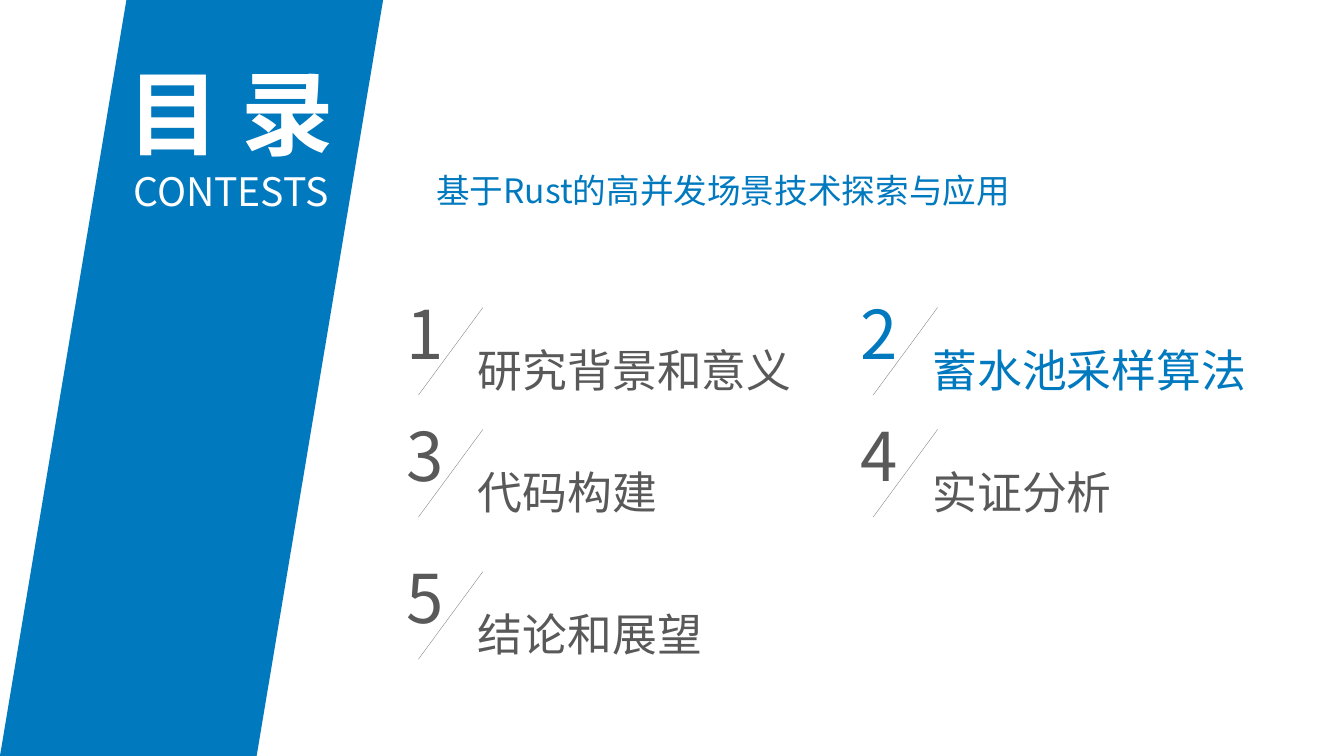
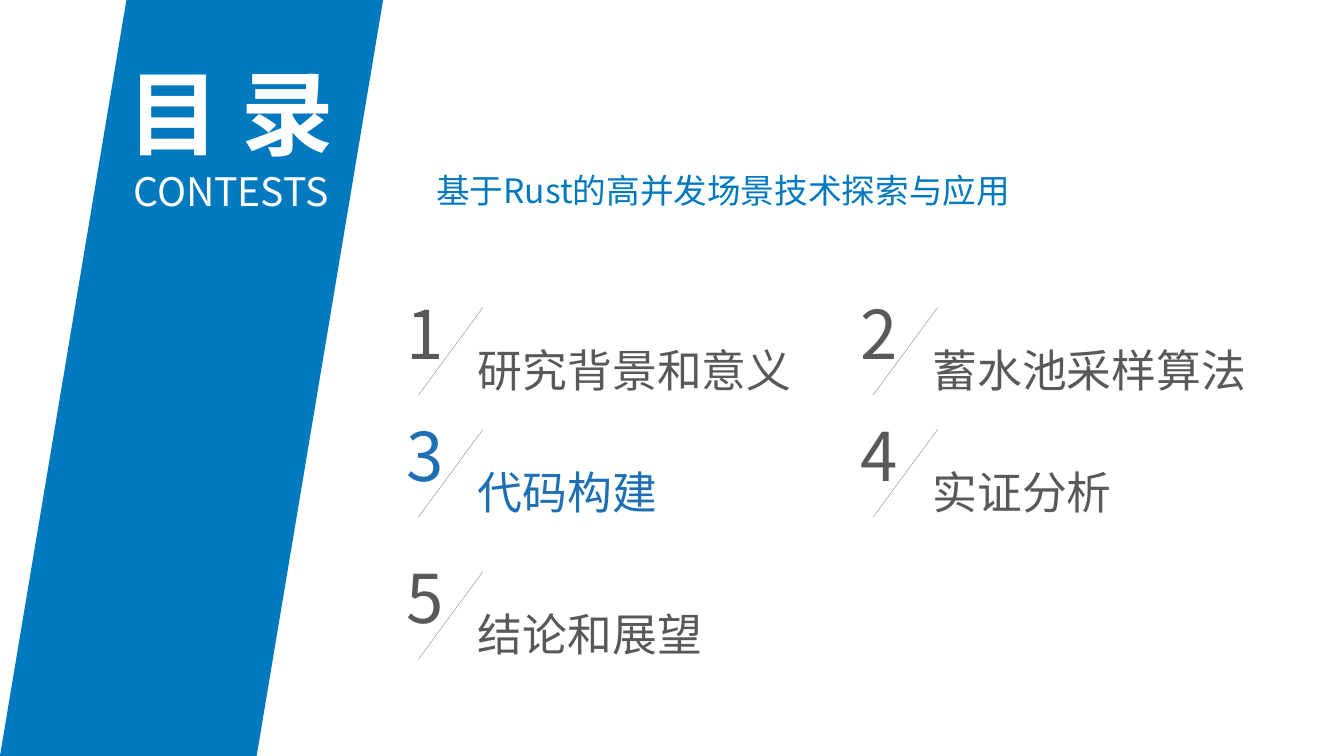
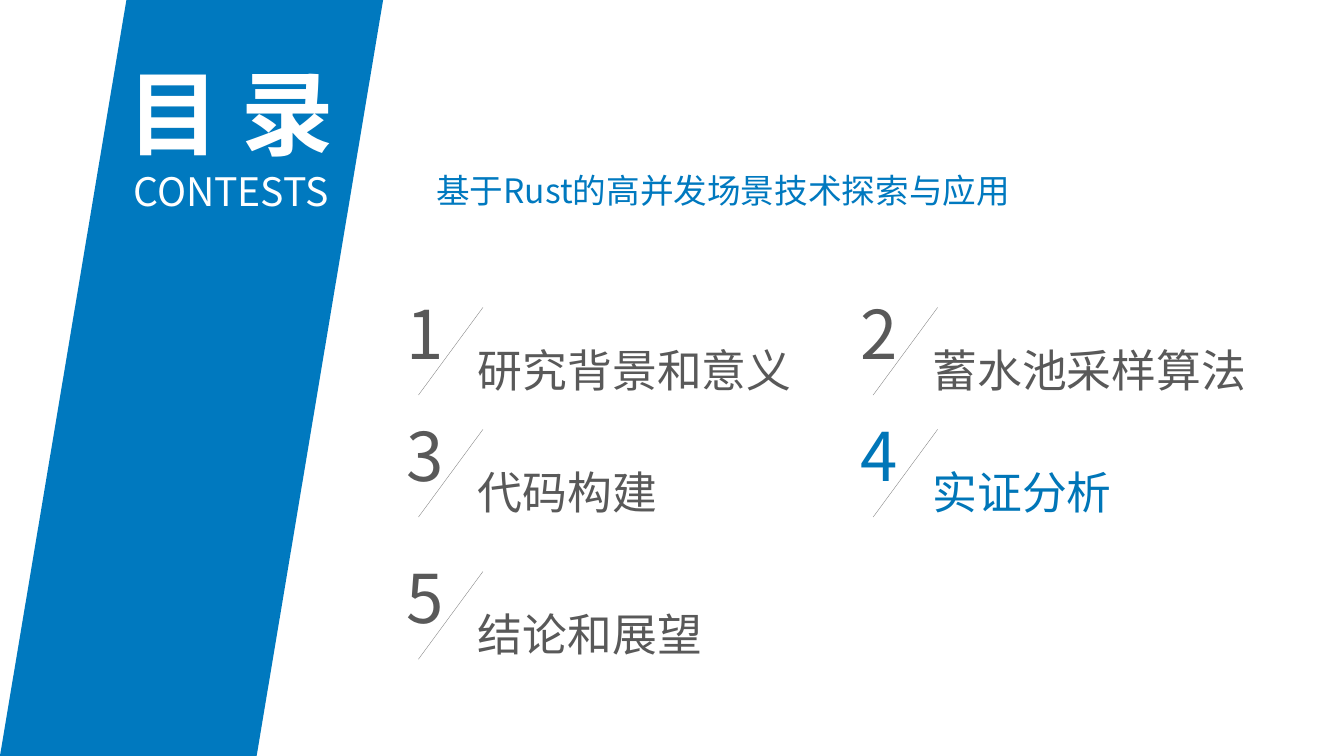
"""Build three agenda slides, each highlighting one section of the talk."""
from lxml import etree
from pptx import Presentation
from pptx.dml.color import RGBColor
from pptx.enum.shapes import MSO_CONNECTOR, MSO_SHAPE
from pptx.enum.text import MSO_ANCHOR, MSO_AUTO_SIZE, PP_ALIGN
from pptx.oxml.ns import qn
from pptx.util import Inches, Pt

STRAIGHT = MSO_CONNECTOR.STRAIGHT
PARALLELOGRAM = MSO_SHAPE.PARALLELOGRAM
MIDDLE = MSO_ANCHOR.MIDDLE
FIT_TEXT = MSO_AUTO_SIZE.SHAPE_TO_FIT_TEXT
CENTER = PP_ALIGN.CENTER

FONT = "Noto Sans CJK SC"
BLUE = "0079BF"
GRAY = "595959"
LINE_GRAY = "808080"
WHITE = "FFFFFF"

SECTIONS = ["研究背景和意义", "蓄水池采样算法", "代码构建", "实证分析", "结论和展望"]
COLUMN_LEFTS = [3.93, 8.44]
ROW_TOPS = [2.85, 4.06, 5.47]
HIGHLIGHTS = [(2, BLUE), (3, "1E6FB4"), (4, "0076B8")]


def rgb(color):
    """Turn a hex string into a colour."""
    return RGBColor.from_string(color)


def add_text(shapes, box, lines, color, wrap=True):
    """Add a text box with one paragraph for each (text, size, bold) line."""
    shape = shapes.add_textbox(*[Inches(length) for length in box])
    frame = shape.text_frame
    frame.word_wrap = wrap
    frame.text = "\n".join(text for text, size, bold in lines)
    for paragraph, (text, size, bold) in zip(frame.paragraphs, lines):
        font = paragraph.font
        font.name = FONT
        font.size = Pt(size)
        font.bold = bold
        font.color.rgb = rgb(color)
        properties = paragraph._p.find(f"{qn('a:pPr')}/{qn('a:defRPr')}")
        etree.SubElement(properties, qn("a:ea"), typeface=FONT)
    return frame


presentation = Presentation()
presentation.slide_width = Inches(13.33)
presentation.slide_height = Inches(7.5)

for current, highlight in HIGHLIGHTS:
    slide = presentation.slides.add_slide(presentation.slide_layouts[6])

    band = slide.shapes.add_shape(PARALLELOGRAM, 0, 0, Inches(3.8), Inches(7.5))
    band.adjustments[0] = 0.33
    band.shadow.inherit = False
    band.fill.solid()
    band.fill.fore_color.rgb = rgb(BLUE)
    band.line.fill.background()

    heading = add_text(slide.shapes, (0.98, 0.63, 2.62, 1.43),
                       [("目 录", 66, True), ("CONTESTS", 28, False)], WHITE)
    heading.vertical_anchor = MIDDLE
    for paragraph in heading.paragraphs:
        paragraph.alignment = CENTER

    topic = add_text(slide.shapes, (4.23, 1.64, 6.6, 0.5),
                     [("基于Rust的高并发场景技术探索与应用", 24, False)], BLUE)
    topic.auto_size = FIT_TEXT

    for index, section in enumerate(SECTIONS):
        row, column = divmod(index, len(COLUMN_LEFTS))
        left, top = COLUMN_LEFTS[column], ROW_TOPS[row]
        color = highlight if index + 1 == current else GRAY
        entry = slide.shapes.add_group_shape()

        number = add_text(entry.shapes, (left, top, 0.6, 0.91),
                          [(str(index + 1), 48, False)], color, wrap=False)
        number.auto_size = FIT_TEXT

        slash = entry.shapes.add_connector(
            STRAIGHT, Inches(left + 0.86), Inches(top + 0.2),
            Inches(left + 0.22), Inches(top + 1.07))
        slash.line.color.rgb = rgb(LINE_GRAY)
        slash.line.width = Pt(0.25)
        etree.SubElement(slash._element.spPr, qn("a:effectLst"))

        title = add_text(entry.shapes, (left + 0.71, top + 0.5, 3.7, 0.64),
                         [(section, 32, False)], color)
        title.auto_size = FIT_TEXT

presentation.save("out.pptx")
